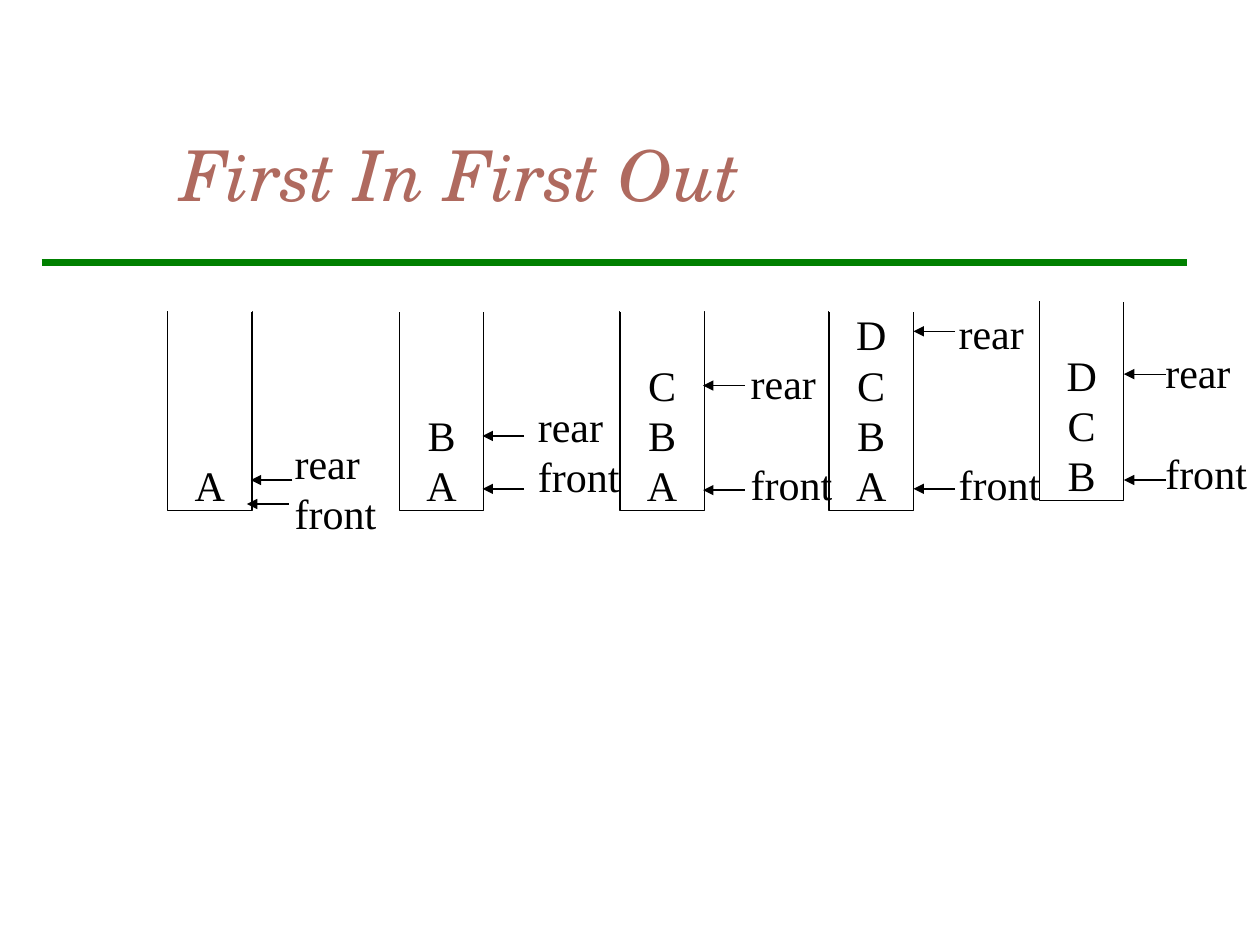
from lxml import etree
from pptx import Presentation
from pptx.dml.color import RGBColor
from pptx.enum.shapes import MSO_CONNECTOR, MSO_SHAPE
from pptx.enum.text import MSO_ANCHOR, PP_ALIGN
from pptx.oxml.ns import qn
from pptx.util import Inches, Pt

BLACK = RGBColor(0x00, 0x00, 0x00)
WHITE = RGBColor(0xFF, 0xFF, 0xFF)
GREEN = RGBColor(0x00, 0x80, 0x00)
BROWN = RGBColor(0xAF, 0x6A, 0x5F)

STRAIGHT = MSO_CONNECTOR.STRAIGHT
RECTANGLE = MSO_SHAPE.RECTANGLE
MIDDLE = MSO_ANCHOR.MIDDLE
BOTTOM = MSO_ANCHOR.BOTTOM
CENTER = PP_ALIGN.CENTER
LEFT = PP_ALIGN.LEFT

TITLE_FONT = "TeX Gyre Schola"
BODY_FONT = "Times New Roman"
LINE_PITCH = 28.8  # points between two lines of text

QUEUE_WIDTH, QUEUE_HEIGHT = 0.67, 1.58
ARROW_LENGTH = 0.33

# Items from top to bottom, queue position, arrow (tip x, y) pairs,
# and label box: left, top, width, empty rows between rear and front
QUEUES = [
    ("A", 1.33, 2.47, [(1.99, 3.81), (1.96, 4.0)], (2.24, 3.42, 1.0, 0)),
    ("BA", 3.17, 2.47, [(3.83, 3.46), (3.83, 3.88)], (4.17, 3.13, 0.85, 0)),
    ("CBA", 4.92, 2.47, [(5.58, 3.06), (5.58, 3.89)], (5.86, 2.79, 0.85, 1)),
    ("DCBA", 6.58, 2.47, [(7.25, 2.63), (7.25, 3.88)], (7.51, 2.39, 0.85, 2)),
    ("DCB", 8.25, 2.39, [(8.92, 2.97), (8.92, 3.81)], (9.15, 2.7, 0.85, 1)),
]


def add_line(slide, start, end, color, width=0.75, arrow=False):
    line = slide.shapes.add_connector(STRAIGHT, *map(Inches, start + end))
    line.line.color.rgb = color
    line.line.width = Pt(width)
    if arrow:
        tail = etree.SubElement(line.line._get_or_add_ln(), qn("a:tailEnd"))
        tail.set("type", "triangle")
    etree.SubElement(line._element.spPr, qn("a:effectLst"))


def write_lines(text_frame, lines, alignment):
    text_frame.text = "\n".join(lines)
    for paragraph in text_frame.paragraphs:
        paragraph.alignment = alignment
        paragraph.line_spacing = Pt(LINE_PITCH)
        font = paragraph.runs[0].font
        font.name = BODY_FONT
        font.size = Pt(24)
        font.color.rgb = BLACK


def add_title(slide, left, top, width, height):
    title = slide.shapes.title
    title.left, title.top = Inches(left), Inches(top)
    title.width, title.height = Inches(width), Inches(height)
    title.text_frame.text = "First In First Out"
    title.text_frame.vertical_anchor = MIDDLE
    paragraph = title.text_frame.paragraphs[0]
    paragraph.alignment = LEFT
    font = paragraph.runs[0].font
    font.name = TITLE_FONT
    font.size = Pt(40)
    font.italic = True
    font.color.rgb = BROWN


def add_queue(slide, items, left, top):
    queue = slide.shapes.add_shape(
        RECTANGLE, Inches(left), Inches(top),
        Inches(QUEUE_WIDTH), Inches(QUEUE_HEIGHT))
    queue.shadow.inherit = False
    queue.fill.solid()
    queue.fill.fore_color.rgb = WHITE
    queue.line.color.rgb = BLACK
    queue.line.width = Pt(0.75)
    # Items rest on the bottom of the queue
    text_frame = queue.text_frame
    text_frame.vertical_anchor = BOTTOM
    text_frame.margin_bottom = 0
    write_lines(text_frame, items, CENTER)


def add_labels(slide, left, top, width, empty_rows):
    height = 0.9 + 0.4 * empty_rows
    box = slide.shapes.add_textbox(
        Inches(left), Inches(top), Inches(width), Inches(height))
    box.text_frame.word_wrap = True
    write_lines(box.text_frame, ["rear", "front"], LEFT)
    box.text_frame.paragraphs[1].space_before = Pt(LINE_PITCH * empty_rows)


def main():
    presentation = Presentation()
    presentation.slide_width = Inches(10)
    presentation.slide_height = Inches(7.5)
    slide = presentation.slides.add_slide(presentation.slide_layouts[5])

    # Title and rule
    add_title(slide, 1.33, 0.75, 8.5, 1.25)
    add_line(slide, (0.33, 2.08), (9.42, 2.08), GREEN, 4)

    # Queue states
    for items, left, top, _, _ in QUEUES:
        add_queue(slide, items, left, top)

    # Pointers, labels and the white line that opens each queue
    for _, left, top, tips, label_box in QUEUES:
        for x, y in tips:
            add_line(slide, (x + ARROW_LENGTH, y), (x, y), BLACK, arrow=True)
        add_labels(slide, *label_box)
        add_line(slide, (left, top), (left + QUEUE_WIDTH, top), WHITE)

    presentation.save("out.pptx")


if __name__ == "__main__":
    main()
